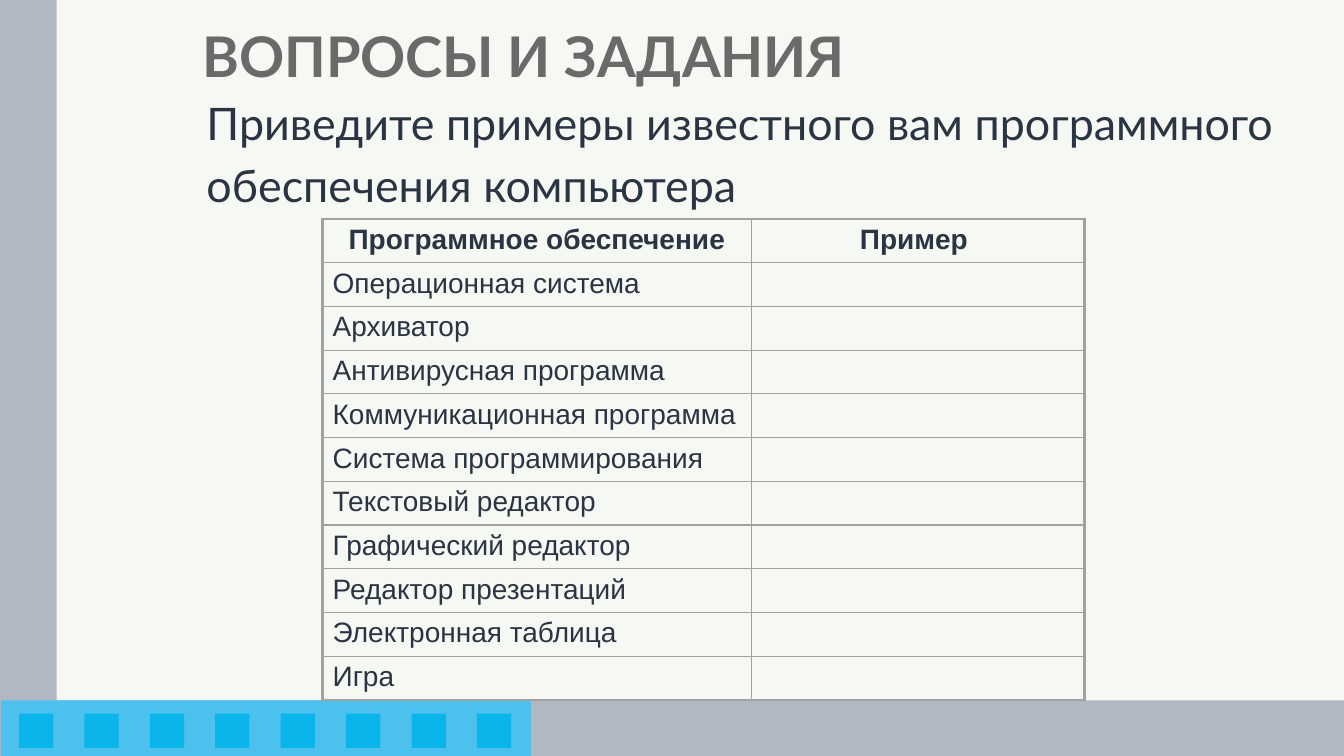
from lxml import etree
from pptx import Presentation
from pptx.dml.color import RGBColor
from pptx.enum.shapes import MSO_SHAPE
from pptx.enum.text import MSO_ANCHOR, PP_ALIGN
from pptx.oxml.ns import qn
from pptx.util import Pt

RECT = MSO_SHAPE.RECTANGLE
TOP, MIDDLE = MSO_ANCHOR.TOP, MSO_ANCHOR.MIDDLE
LEFT, CENTER = PP_ALIGN.LEFT, PP_ALIGN.CENTER

# Content
TITLE = "ВОПРОСЫ И ЗАДАНИЯ"
TASK = ["Приведите примеры известного вам программного", "обеспечения компьютера"]
HEADINGS = ("Программное обеспечение", "Пример ")
SOFTWARE = [
    "Операционная система",
    "Архиватор",
    "Антивирусная программа",
    "Коммуникационная программа",
    "Система программирования",
    "Текстовый редактор",
    "Графический редактор",
    "Редактор презентаций",
    "Электронная таблица",
    "Игра",
]

# Colours
PAPER = RGBColor(0xF6, 0xF8, 0xF3)
GREY_BAND = RGBColor(0xB2, 0xB8, 0xC2)
BLUE_BAND = RGBColor(0x4D, 0xC1, 0xED)
BLUE_SQUARE = RGBColor(0x0A, 0xB5, 0xEC)
TITLE_GREY = RGBColor(0x6A, 0x6A, 0x6A)
INK = RGBColor(0x2A, 0x34, 0x42)
GRID = RGBColor(0xA1, 0xA1, 0xA1)

# Measures in points
SLIDE_W, SLIDE_H = 960, 540
SIDE_W, FOOT_TOP = 40.6, 500.3
SQUARE, SQUARE_LEFT, SQUARE_STEP, SQUARE_COUNT = 24.5, 13.6, 46.73, 8
COLUMN_WIDTHS, ROW_H = (306.2, 238), 31.23
TABLE_LEFT, TABLE_TOP = 230.4, 156.4
OUTER, INNER = 2.25, 1


def write(frame, text, *, size, font, color=INK, bold=False, align=LEFT,
          anchor=TOP, line=None, gap=0, indent=0):
    """Fill a text frame with one paragraph per line of text."""
    frame.word_wrap = True
    frame.vertical_anchor = anchor
    for number, words in enumerate(text.split("\n")):
        paragraph = frame.add_paragraph() if number else frame.paragraphs[0]
        paragraph.alignment = align
        if line:
            paragraph.line_spacing = line
        if number and gap:
            paragraph.space_before = Pt(gap)
        if indent:
            properties = paragraph._p.get_or_add_pPr()
            properties.set("marL", "0")
            properties.set("indent", str(Pt(indent)))
        run = paragraph.add_run()
        run.text = words
        run.font.size = Pt(size)
        run.font.name = font
        run.font.bold = bold
        run.font.color.rgb = color


def add_block(left, top, width, height, color):
    block = slide.shapes.add_shape(RECT, Pt(left), Pt(top), Pt(width), Pt(height))
    block.shadow.inherit = False
    block.fill.solid()
    block.fill.fore_color.rgb = color
    block.line.fill.background()


def add_frame(left, top, width, height):
    return slide.shapes.add_textbox(Pt(left), Pt(top), Pt(width), Pt(height)).text_frame


def set_borders(cell, widths):
    """Draw cell borders; widths maps L, R, T, B to points."""
    properties = cell._tc.get_or_add_tcPr()
    for side, width in widths.items():
        border = etree.SubElement(properties, qn("a:ln" + side), w=str(Pt(width)))
        fill = etree.SubElement(border, qn("a:solidFill"))
        etree.SubElement(fill, qn("a:srgbClr"), val=str(GRID))


prs = Presentation()
prs.slide_width, prs.slide_height = Pt(SLIDE_W), Pt(SLIDE_H)
slide = prs.slides.add_slide(prs.slide_layouts[6])
slide.background.fill.solid()
slide.background.fill.fore_color.rgb = PAPER

# Side and bottom bands with the row of squares
foot_h = SLIDE_H - FOOT_TOP
add_block(0, 0, SIDE_W, SLIDE_H, GREY_BAND)
add_block(0, FOOT_TOP, SLIDE_W, foot_h, GREY_BAND)
add_block(0.7, FOOT_TOP, 378.6, foot_h, BLUE_BAND)
for number in range(SQUARE_COUNT):
    add_block(SQUARE_LEFT + number * SQUARE_STEP, 509.8, SQUARE, SQUARE, BLUE_SQUARE)

# Title and task
write(add_frame(137.5, -10, 770.4, 104.4), TITLE, size=40, font="Lato",
      color=TITLE_GREY, bold=True, anchor=MIDDLE, line=0.9)
write(add_frame(119.5, 69.1, 840, 87.1), "\n".join(TASK), size=32, font="Lato",
      line=0.9, gap=10, indent=20.9)

# Table of software and examples
rows = [HEADINGS] + [(name, "") for name in SOFTWARE]
last_row, last_column = len(rows) - 1, len(COLUMN_WIDTHS) - 1
table = slide.shapes.add_table(
    len(rows), len(COLUMN_WIDTHS), Pt(TABLE_LEFT), Pt(TABLE_TOP),
    Pt(sum(COLUMN_WIDTHS)), Pt(ROW_H * len(rows))).table
table.first_row = table.horz_banding = False
for column, width in zip(table.columns, COLUMN_WIDTHS):
    column.width = Pt(width)
for r, row in enumerate(rows):
    table.rows[r].height = Pt(ROW_H)
    for c, words in enumerate(row):
        cell = table.cell(r, c)
        set_borders(cell, {
            "L": OUTER if c == 0 else INNER,
            "R": OUTER if c == last_column else INNER,
            "T": OUTER if r == 0 else INNER,
            "B": OUTER if r == last_row else INNER,
        })
        cell.fill.background()
        if words:
            write(cell.text_frame, words, size=20, font="Arial", bold=r == 0,
                  align=CENTER if r == 0 else LEFT)

prs.save("out.pptx")
